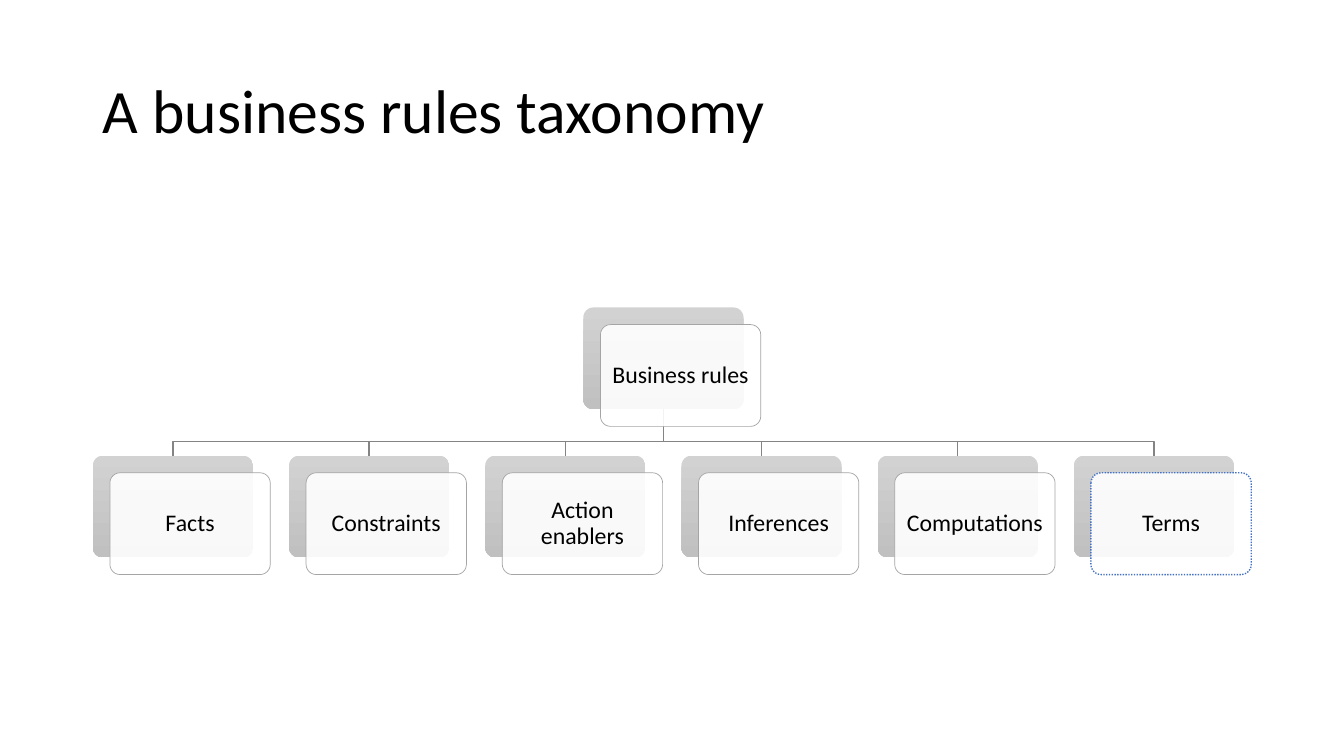
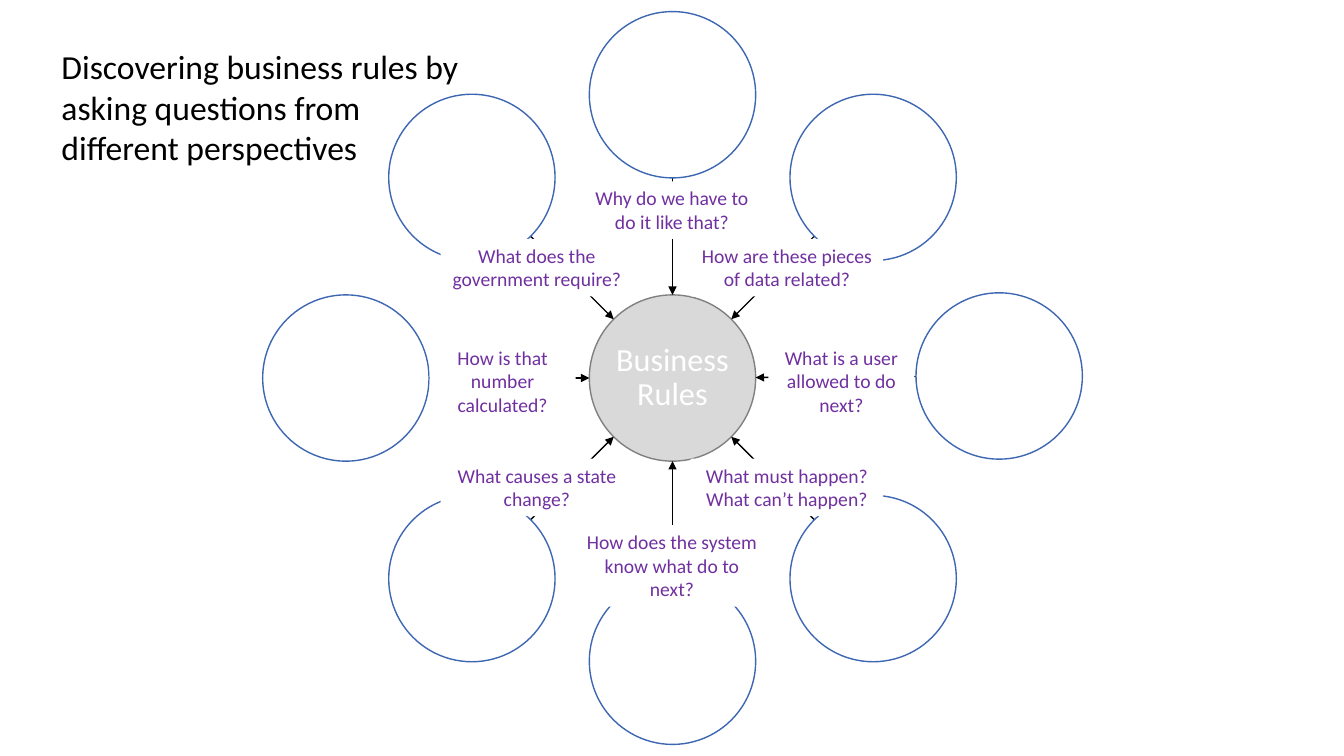
from dataclasses import dataclass
from math import hypot

from lxml import etree
from pptx import Presentation
from pptx.dml.color import RGBColor
from pptx.enum.dml import MSO_LINE
from pptx.enum.shapes import MSO_CONNECTOR, MSO_SHAPE
from pptx.enum.text import MSO_ANCHOR, MSO_AUTO_SIZE, PP_ALIGN
from pptx.oxml.ns import qn
from pptx.util import Inches, Pt

LEFT, CENTER = PP_ALIGN.LEFT, PP_ALIGN.CENTER
TOP, MIDDLE = MSO_ANCHOR.TOP, MSO_ANCHOR.MIDDLE
ROUNDED, OVAL, RECTANGLE = MSO_SHAPE.ROUNDED_RECTANGLE, MSO_SHAPE.OVAL, MSO_SHAPE.RECTANGLE
STRAIGHT = MSO_CONNECTOR.STRAIGHT
DOTTED = MSO_LINE.ROUND_DOT
NO_AUTOFIT = MSO_AUTO_SIZE.NONE


@dataclass(frozen=True)
class Theme:
    font: str = "Calibri"
    black: str = "000000"
    white: str = "FFFFFF"
    card_top: str = "D2D2D2"
    card_bottom: str = "C0C0C0"
    card_line: str = "A5A5A5"
    accent: str = "4472C4"
    branch: str = "848484"
    hub_fill: str = "D9D9D9"
    hub_line: str = "808080"
    circle_line: str = "3E67B2"
    question: str = "7030A0"
    title_size: int = 44
    small_title_size: int = 24
    card_size: int = 17
    hub_size: int = 23
    question_size: int = 14


THEME = Theme()

TAXONOMY_TITLE = "A business rules taxonomy"
ROOT = "Business rules"
RULE_TYPES = ["Facts", "Constraints", "Action enablers", "Inferences", "Computations", "Terms"]
HIGHLIGHTED = "Terms"

QUESTIONS_TITLE = "Discovering business rules by\nasking questions from\ndifferent perspectives"
HUB = "Business Rules"
PERSPECTIVES = [
    ((0, -2.81), (5.71, 1.8, 1.91, 0.57), "Why do we have to do it like that?"),
    ((1.99, -1.99), (6.85, 2.37, 1.91, 0.57), "How are these pieces of data related?"),
    ((3.24, -0.02), (7.62, 3.38, 1.45, 0.81), "What is a user allowed to do next?"),
    ((1.99, 1.99), (6.85, 4.55, 1.91, 0.57), "What must happen? What can’t happen?"),
    ((0, 2.81), (5.71, 5.21, 1.91, 0.81), "How does the system know what do to next?"),
    ((-1.99, 1.99), (4.37, 4.55, 1.91, 0.57), "What causes a state change?"),
    ((-3.24, 0), (4.26, 3.38, 1.45, 0.81), "How is that number calculated?"),
    ((-1.99, -1.99), (4.37, 2.37, 1.91, 0.57), "What does the government require?"),
]

CARD_WIDTH, CARD_HEIGHT = 1.59, 1.01
CARD_SHIFT = 0.17
ROW_LEFT, ROW_RIGHT, ROW_TOP = 0.92, 10.65, 4.52
ROOT_TOP, BUS_TOP = 3.05, 4.38
CENTER_X, CENTER_Y = 6.67, 3.75
DIAMETER = 1.65


def color(code):
    return RGBColor.from_string(code)


def set_text(shape, text, size, code, align=CENTER, anchor=MIDDLE, spacing=1.0, insets=(0.1, 0.05)):
    frame = shape.text_frame
    frame.text = text
    frame.word_wrap = True
    frame.auto_size = NO_AUTOFIT
    frame.vertical_anchor = anchor
    frame.margin_left = frame.margin_right = Inches(insets[0])
    frame.margin_top = frame.margin_bottom = Inches(insets[1])
    for para in frame.paragraphs:
        para.alignment = align
        para.line_spacing = spacing
        for span in para.runs:
            span.font.name = THEME.font
            span.font.size = Pt(size)
            span.font.color.rgb = color(code)


def set_line(shape, code, width=1):
    shape.line.color.rgb = color(code)
    shape.line.width = Pt(width)


def add_box(slide, kind, area, fill):
    box = slide.shapes.add_shape(kind, *map(Inches, area))
    box.shadow.inherit = False
    box.fill.solid()
    box.fill.fore_color.rgb = color(fill)
    box.line.fill.background()
    return box


def add_titled_slide(deck, text, area, size, anchor, spacing):
    slide = deck.slides.add_slide(deck.slide_layouts[5])
    title = slide.shapes.title
    title.left, title.top, title.width, title.height = map(Inches, area)
    set_text(title, text, size, THEME.black, LEFT, anchor, spacing)
    return slide


def add_branch(slide, start_x, end_x):
    start_y = ROOT_TOP + CARD_HEIGHT
    builder = slide.shapes.build_freeform(Inches(start_x), Inches(start_y))
    corners = [(start_x, BUS_TOP), (end_x, BUS_TOP), (end_x, ROW_TOP)]
    builder.add_line_segments([(Inches(x), Inches(y)) for x, y in corners], close=False)
    branch = builder.convert_to_shape()
    branch.shadow.inherit = False
    branch.fill.background()
    set_line(branch, THEME.branch)


def add_card(slide, left, top, text):
    back = add_box(slide, ROUNDED, (left, top, CARD_WIDTH, CARD_HEIGHT), THEME.card_top)
    back.adjustments[0] = 0.1
    back.fill.gradient()
    back.fill.gradient_angle = 270
    for stop, code in zip(back.fill.gradient_stops, (THEME.card_top, THEME.card_bottom)):
        stop.color.rgb = color(code)

    area = (left + CARD_SHIFT, top + CARD_SHIFT, CARD_WIDTH, CARD_HEIGHT)
    front = add_box(slide, ROUNDED, area, THEME.white)
    front.adjustments[0] = 0.1
    fill_color = front.element.spPr.find(qn("a:solidFill")).find(qn("a:srgbClr"))
    etree.SubElement(fill_color, qn("a:alpha")).set("val", "90000")
    if text == HIGHLIGHTED:
        set_line(front, THEME.accent)
        front.line.dash_style = DOTTED
    else:
        set_line(front, THEME.card_line, 0.5)
    set_text(front, text, THEME.card_size, THEME.black, spacing=0.9, insets=(0.07, 0.07))


def add_circle(slide, x, y, fill, line):
    radius = DIAMETER / 2
    circle = add_box(slide, OVAL, (x - radius, y - radius, DIAMETER, DIAMETER), fill)
    set_line(circle, line)
    return circle


def add_spoke(slide, dx, dy):
    distance = hypot(dx, dy)
    near = DIAMETER / 2 / distance
    ends = []
    for share in (near, 1 - near):
        ends += [Inches(CENTER_X + dx * share), Inches(CENTER_Y + dy * share)]
    spoke = slide.shapes.add_connector(STRAIGHT, *ends)
    set_line(spoke, THEME.black)
    properties = spoke.element.spPr
    etree.SubElement(properties.find(qn("a:ln")), qn("a:headEnd")).set("type", "triangle")
    etree.SubElement(properties, qn("a:effectLst"))


def build_taxonomy(deck):
    slide = add_titled_slide(deck, TAXONOMY_TITLE, (0.92, 0.4, 11.5, 1.45), THEME.title_size, MIDDLE, 0.9)
    pitch = (ROW_RIGHT - ROW_LEFT) / (len(RULE_TYPES) - 1)
    lefts = [ROW_LEFT + pitch * index for index in range(len(RULE_TYPES))]
    root_left = (ROW_LEFT + ROW_RIGHT) / 2
    half = CARD_WIDTH / 2
    for left in lefts:
        add_branch(slide, root_left + half, left + half)
    add_card(slide, root_left, ROOT_TOP, ROOT)
    for left, text in zip(lefts, RULE_TYPES):
        add_card(slide, left, ROW_TOP, text)


def build_questions(deck):
    slide = add_titled_slide(deck, QUESTIONS_TITLE, (0.51, 0.41, 6.89, 1.31), THEME.small_title_size, TOP, 1.0)
    hub = add_circle(slide, CENTER_X, CENTER_Y, THEME.hub_fill, THEME.hub_line)
    set_text(hub, HUB, THEME.hub_size, THEME.white, spacing=0.9, insets=(0.02, 0.02))
    for (dx, dy), _, _ in PERSPECTIVES:
        add_spoke(slide, dx, dy)
        add_circle(slide, CENTER_X + dx, CENTER_Y + dy, THEME.white, THEME.circle_line)
    for _, area, text in PERSPECTIVES:
        question = add_box(slide, RECTANGLE, area, THEME.white)
        set_text(question, text, THEME.question_size, THEME.question, anchor=TOP)


deck = Presentation()
deck.slide_width, deck.slide_height = Inches(13.33), Inches(7.5)
build_taxonomy(deck)
build_questions(deck)
deck.save("out.pptx")
